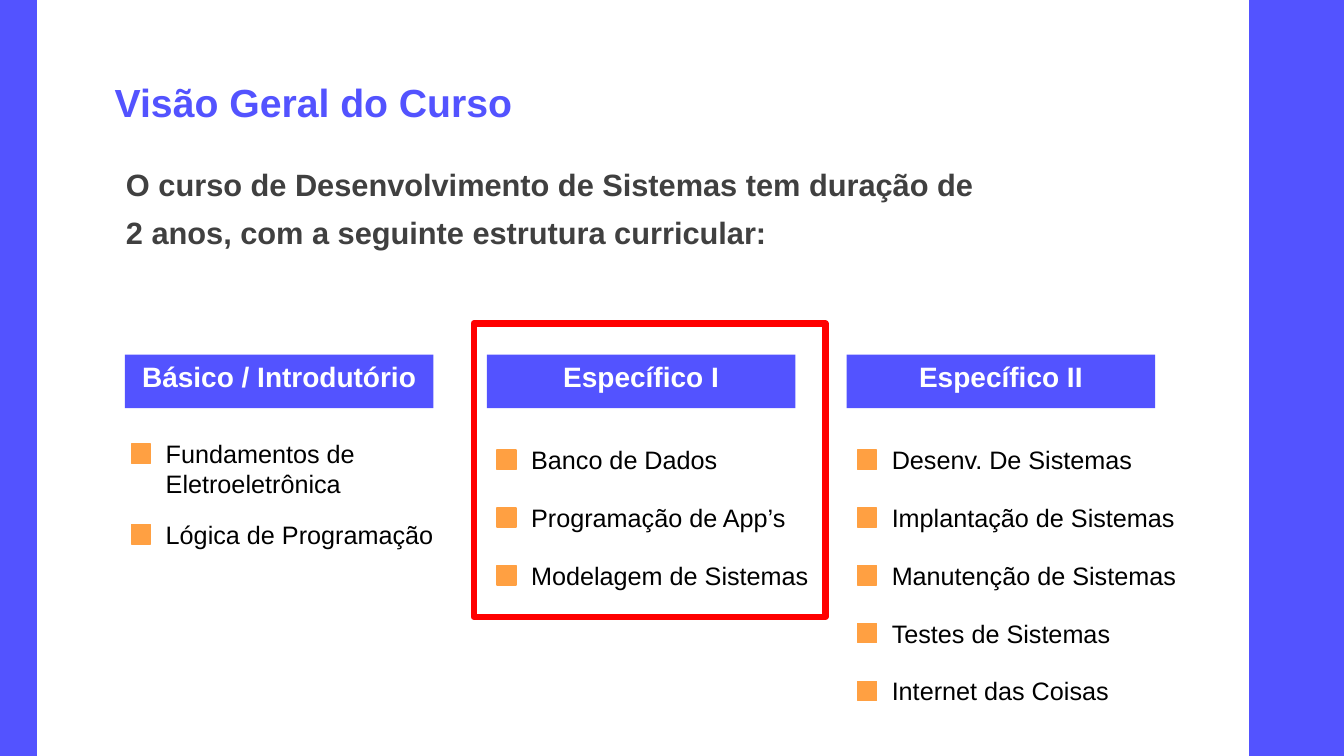
from pptx import Presentation
from pptx import util as u
from pptx.dml import color
from pptx.enum import shapes, text

COLORS = {"blue": "5353FF", "orange": "FFA042", "red": "FF0000",
          "gray": "404040", "black": "000000", "white": "FFFFFF"}
STYLES = {
    "title": ({"size": u.Pt(28), "bold": True}, "blue"),
    "intro": ({"size": u.Pt(22), "bold": True}, "gray"),
    "header": ({"size": u.Pt(20), "bold": True}, "white"),
    "item": ({"size": u.Pt(18), "bold": False}, "black"),
}
COLUMNS = [
    ("Básico / Introdutório", 89.3, 94, 207, 309.6, 57.6,
     [["Fundamentos de", "Eletroeletrônica"], ["Lógica de Programação"]]),
    ("Específico I", 347.8, 355, 219, 313.9, 41.3,
     [["Banco de Dados"], ["Programação de App’s"], ["Modelagem de Sistemas"]]),
    ("Específico II", 604.8, 612.6, 228, 313.9, 41.3,
     [["Desenv. De Sistemas"], ["Implantação de Sistemas"],
      ["Manutenção de Sistemas"], ["Testes de Sistemas"],
      ["Internet das Coisas"]]),
]


class Deck:
    """Draw styled elements on the current slide, with lengths in points."""

    def __init__(self, width, height):
        self.prs = Presentation()
        self.prs.slide_width, self.prs.slide_height = u.Pt(width), u.Pt(height)
        self.s = self.prs.slides.add_slide(self.prs.slide_layouts[6])

    def rgb(self, name):
        return color.RGBColor.from_string(COLORS[name])

    def rect(self, x, y, w, h, fill=None, line=None, weight=1):
        sp = self.s.shapes.add_shape(
            shapes.MSO_SHAPE.RECTANGLE, *map(u.Pt, (x, y, w, h)))
        sp.shadow.inherit = False
        if fill:
            sp.fill.solid()
            sp.fill.fore_color.rgb = self.rgb(fill)
        else:
            sp.fill.background()
        if line:
            sp.line.color.rgb = self.rgb(line)
            sp.line.width = u.Pt(weight)
        else:
            sp.line.fill.background()
        return sp

    def set_text(self, sp, lines, style, align="LEFT", anchor="TOP",
                 inset=None, spacing=None, before=0):
        tf = sp.text_frame
        tf.word_wrap = True
        tf.vertical_anchor = text.MSO_ANCHOR[anchor]
        if inset is not None:
            for side in ("left", "top", "right", "bottom"):
                setattr(tf, f"margin_{side}", u.Pt(inset))
        fmt, ink = STYLES[style]
        for i, line in enumerate(lines):
            p = tf.add_paragraph() if i else tf.paragraphs[0]
            p.alignment = text.PP_ALIGN[align]
            if spacing:
                p.line_spacing = spacing
            if i and before:
                p.space_before = u.Pt(before)
            r = p.add_run()
            r.text = line
            for key, value in {"name": "Arial", **fmt}.items():
                setattr(r.font, key, value)
            r.font.color.rgb = self.rgb(ink)

    def textbox(self, x, y, w, h, lines, style, **layout):
        sp = self.s.shapes.add_textbox(*map(u.Pt, (x, y, w, h)))
        self.set_text(sp, lines, style, **layout)

    def header(self, x, label):
        sp = self.rect(x, 253.4, 220.3, 38.2, fill="blue")
        self.set_text(sp, [label], "header", align="CENTER")

    def item(self, x, y, w, lines):
        self.rect(x, y + 7.6, 13.7, 13.7, fill="orange", line="orange")
        self.textbox(x + 17.3, y, w, 7.2 + 21.5 * len(lines), lines, "item")


def main():
    d = Deck(960, 540)
    d.rect(0, 0, 26, 540, fill="blue", line="blue")
    d.rect(892.8, 0, 67.2, 540, fill="blue", line="blue")
    d.textbox(74.9, 56.2, 309.6, 40.3, ["Visão Geral do Curso"], "title",
              anchor="BOTTOM", inset=7.2)
    d.textbox(80.6, 107.3, 687.6, 84.2,
              ["O curso de Desenvolvimento de Sistemas tem duração de",
               "2 anos, com a seguinte estrutura curricular:"],
              "intro", inset=9.4, spacing=1.07, before=6)
    for label, bar_x, item_x, width, top, pitch, items in COLUMNS:
        d.header(bar_x, label)
        for i, lines in enumerate(items):
            d.item(item_x, top + i * pitch, width, lines)
    d.rect(338.4, 231.1, 251.3, 209.5, line="red", weight=4.5)
    d.prs.save("out.pptx")


if __name__ == "__main__":
    main()
